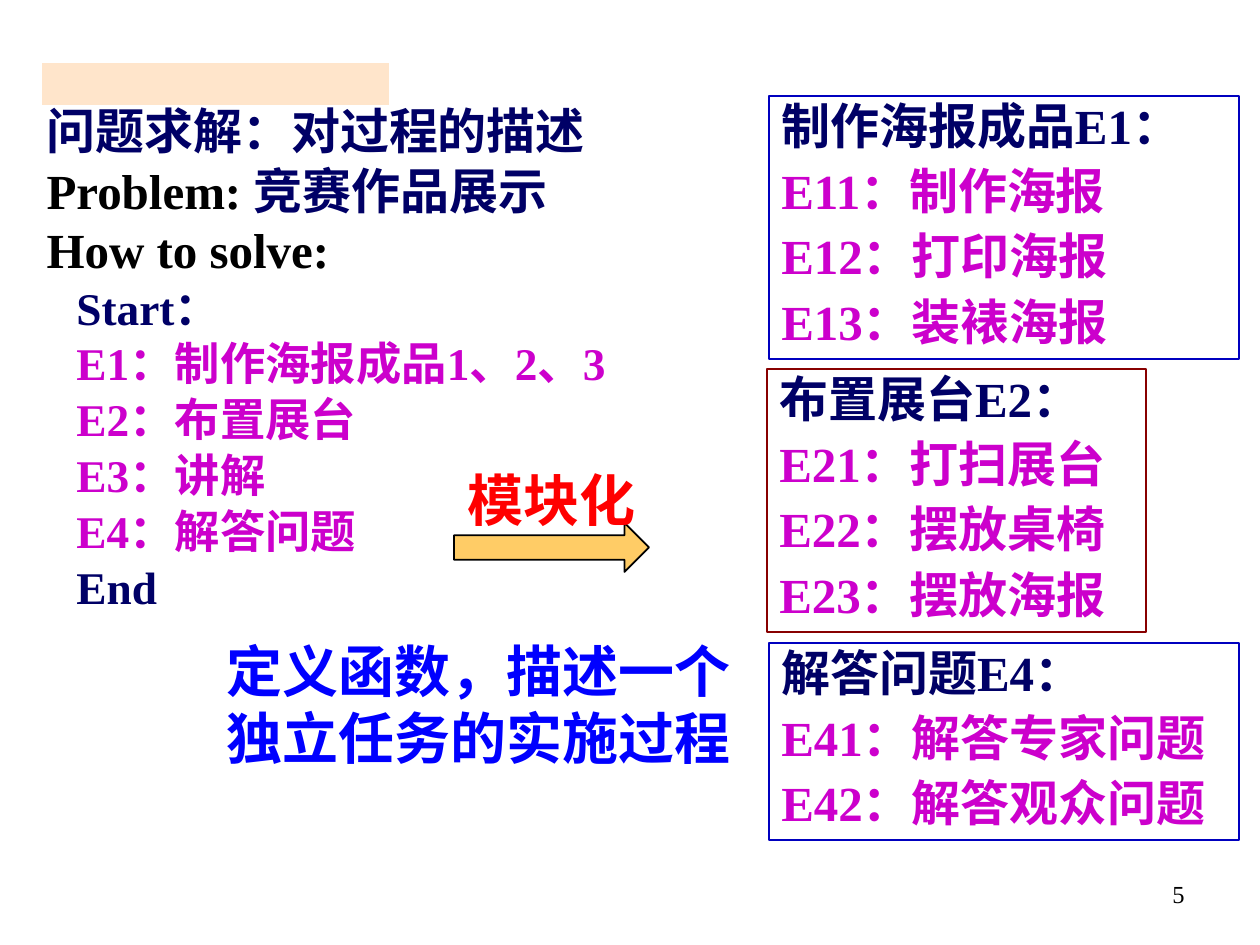
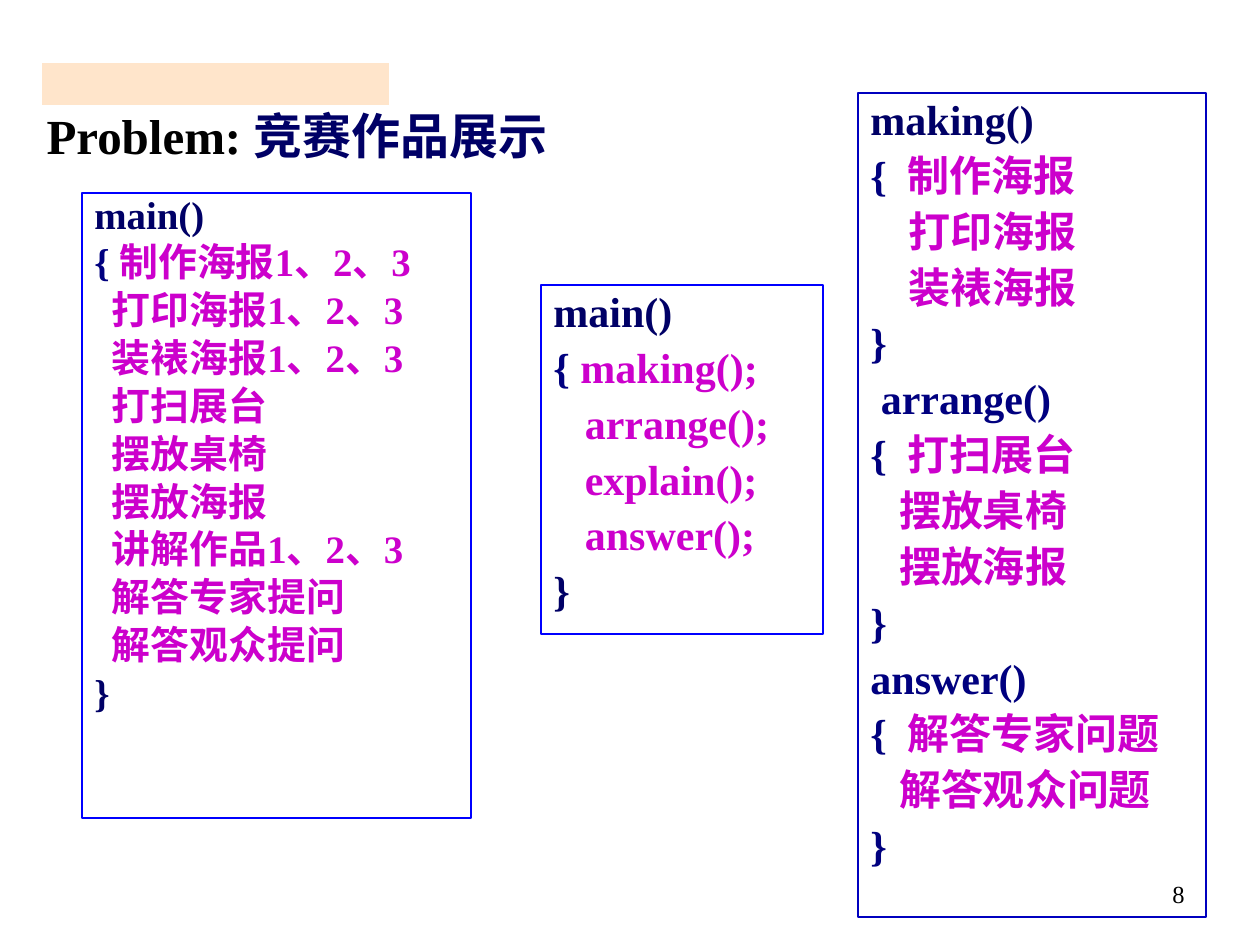
import pptx
import pptx.util
import pptx.dml.color
import pptx.enum.shapes
import pptx.enum.text
import pptx.oxml.ns
from lxml import etree

PX = 914400 / 126
SHAPE = pptx.enum.shapes.MSO_SHAPE
ALIGN = pptx.enum.text.PP_ALIGN

THEME = {
    "latin": "Times New Roman", "asian": "Noto Sans CJK SC",
    "black": "000000", "navy": "000066", "brace": "00007F",
    "pink": "CC00CC", "red": "FF0000", "blue": "0000FF",
    "deep": "0000BF", "wine": "880000", "gold": "FFCC66", "band": "FFCC99",
    "head": 28, "step": 25.9, "call": 32, "code": 24, "small": 22.2, "page": 14,
}
BAND = (42, 63, 347, 42)
TITLE = (34, 106, 615, 179)
PAGE = (903, 873, 294, 66)


def rows(color, *lines):
    """One paragraph of a single run for each line."""
    return [[(color, line)] for line in lines]


def opens(gap, text):
    """A code line that opens a block."""
    return [("brace", "{" + gap), ("pink", text)]


PROBLEM = [("black", "Problem: "), ("navy", "竞赛作品展示")]
HEAD = {"size": "head", "lead": 0.8, "gap": 7, "indent": 52}
STEP = {"size": "step", "lead": 0.8, "gap": 7, "indent": 87}
TASK = {"size": "head", "lead": 0.9, "gap": 7, "indent": 87}
CODE = {"size": "code", "lead": 0.9, "gap": 6, "indent": 87}
CALL = {"size": "call"}

# Each part: place, paragraphs, text style, outline colour, wrap
SLIDES = [
    {
        "page": "5",
        "title": rows("navy", "问题求解：对过程的描述") + [PROBLEM] + rows("black", "How to solve:"),
        "style": HEAD,
        "arrow": (454, 523, 195, 49),
        "parts": [
            ((64, 284, 610, 397),
             rows("navy", "Start：")
             + rows("pink", "E1：制作海报成品1、2、3", "E2：布置展台", "E3：讲解", "E4：解答问题")
             + rows("navy", "End"), STEP, None, True),
            ((455, 459, 193, 81), rows("red", "模块化"), CALL, None, False),
            ((769, 96, 470, 263),
             rows("navy", "制作海报成品E1：")
             + rows("pink", "E11：制作海报", "E12：打印海报", "E13：装裱海报"),
             TASK, "deep", True),
            ((767, 369, 379, 263),
             rows("navy", "布置展台E2：")
             + rows("pink", "E21：打扫展台", "E22：摆放桌椅", "E23：摆放海报"),
             TASK, "wine", True),
            ((769, 643, 470, 197),
             rows("navy", "解答问题E4：")
             + rows("pink", "E41：解答专家问题", "E42：解答观众问题"),
             TASK, "deep", True),
            ((214, 630, 546, 147), rows("blue", "定义函数，描述一个独立任务的实施过程"),
             CALL, None, True),
        ],
    },
    {
        "page": "8",
        "title": [PROBLEM],
        "style": HEAD | {"lead": 0.9},
        "arrow": None,
        "parts": [
            ((858, 93, 348, 824),
             rows("navy", "making()") + [opens("  ", "制作海报")]
             + rows("pink", "    打印海报", "    装裱海报")
             + rows("brace", "}", " arrange()") + [opens("  ", "打扫展台")]
             + rows("pink", "   摆放桌椅", "   摆放海报")
             + rows("brace", "}", "answer()") + [opens("  ", "解答专家问题")]
             + rows("pink", "   解答观众问题") + rows("brace", "}"),
             CODE, "deep", True),
            ((82, 193, 389, 625),
             rows("navy", "main()") + [opens(" ", "制作海报1、2、3")]
             + rows("pink", "  打印海报1、2、3", "  装裱海报1、2、3", "  打扫展台",
                    "  摆放桌椅", "  摆放海报", "  讲解作品1、2、3",
                    "  解答专家提问", "  解答观众提问")
             + rows("navy", "}"), CODE | {"size": "small", "lead": 0.8}, "blue", True),
            ((541, 285, 282, 349),
             rows("navy", "main()") + [opens("", " making();")]
             + rows("pink", "   arrange();", "   explain();", "   answer();")
             + rows("navy", "}"), CODE, "blue", True),
        ],
    },
]


def emu(px):
    return pptx.util.Emu(round(px * PX))


def rgb(name):
    return pptx.dml.color.RGBColor.from_string(THEME[name])


def assign(target, values):
    for name, value in values.items():
        setattr(target, name, value)


def write(shape, paras, style, wrap=True, bold=True, align=ALIGN.LEFT):
    frame = shape.text_frame
    assign(frame, {
        "word_wrap": wrap,
        "auto_size": pptx.enum.text.MSO_AUTO_SIZE.NONE,
        "vertical_anchor": pptx.enum.text.MSO_ANCHOR.TOP,
        "margin_left": pptx.util.Inches(0.1), "margin_right": pptx.util.Inches(0.1),
        "margin_top": pptx.util.Inches(0.05), "margin_bottom": pptx.util.Inches(0.05),
    })
    for i, runs in enumerate(paras):
        para = frame.add_paragraph() if i else frame.paragraphs[0]
        assign(para, {
            "alignment": align,
            "line_spacing": style.get("lead", 1.0),
            "space_before": pptx.util.Pt(style.get("gap", 0) if i else 0),
        })
        dent = emu(style.get("indent", 0))
        props = para._p.get_or_add_pPr()
        props.set("marL", str(dent))
        props.set("indent", str(-dent))
        for color, text in runs:
            run = para.add_run()
            run.text = text
            assign(run.font, {"size": pptx.util.Pt(THEME[style["size"]]),
                              "bold": bold, "name": THEME["latin"]})
            run.font.color.rgb = rgb(color)
            mark = run._r.get_or_add_rPr()
            mark.set("lang", "zh-CN")
            face = etree.Element(pptx.oxml.ns.qn("a:ea"), typeface=THEME["asian"])
            mark.find(pptx.oxml.ns.qn("a:latin")).addnext(face)


def draw(slide, kind, place, fill=None, line=None, width=0.75):
    shape = slide.shapes.add_shape(kind, *map(emu, place))
    shape.shadow.inherit = False
    for part, color in ((shape.fill, fill), (shape.line.fill, line)):
        if color:
            part.solid()
            part.fore_color.rgb = rgb(color)
        else:
            part.background()
    if line:
        shape.line.width = pptx.util.Pt(width)
    return shape


def base(deck, data):
    """A slide with the shared band, page number and title."""
    slide = deck.slides.add_slide(deck.slide_layouts[5])
    band = draw(slide, SHAPE.RECTANGLE, BAND, fill="band")
    tint = band._element.spPr.find(".//" + pptx.oxml.ns.qn("a:srgbClr"))
    etree.SubElement(tint, pptx.oxml.ns.qn("a:alpha"), val="50000")
    page = slide.shapes.add_textbox(*map(emu, PAGE))
    write(page, rows("black", data["page"]), {"size": "page"}, bold=False, align=ALIGN.RIGHT)
    title = slide.shapes.title
    assign(title, dict(zip(("left", "top", "width", "height"), map(emu, TITLE))))
    write(title, data["title"], data["style"])
    return slide


def main():
    deck = pptx.Presentation()
    assign(deck, {"slide_width": emu(1260), "slide_height": emu(945)})
    for data in SLIDES:
        slide = base(deck, data)
        if data["arrow"]:
            draw(slide, SHAPE.RIGHT_ARROW, data["arrow"], "gold", "black", 1)
        for place, paras, style, line, wrap in data["parts"]:
            if line:
                box = draw(slide, SHAPE.RECTANGLE, place, line=line)
            else:
                box = slide.shapes.add_textbox(*map(emu, place))
            write(box, paras, style, wrap)
    deck.save("out.pptx")


if __name__ == "__main__":
    main()
